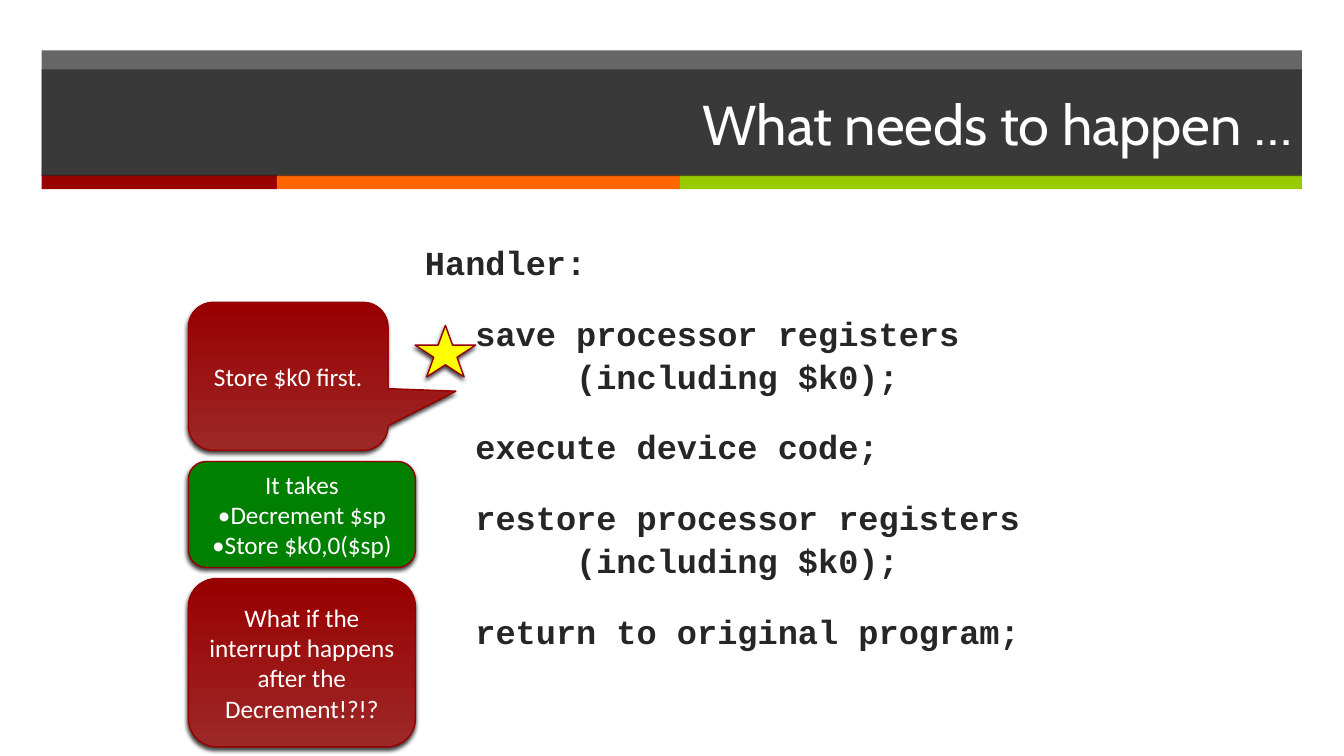
from lxml import etree
from pptx import Presentation
from pptx.dml.color import RGBColor
from pptx.enum.shapes import MSO_SHAPE
from pptx.enum.text import MSO_ANCHOR, PP_ALIGN
from pptx.oxml.ns import qn
from pptx.util import Cm, Pt

RECT, ROUNDED = MSO_SHAPE.RECTANGLE, MSO_SHAPE.ROUNDED_RECTANGLE
STAR, CALLOUT = MSO_SHAPE.STAR_5_POINT, MSO_SHAPE.ROUNDED_RECTANGULAR_CALLOUT
MIDDLE = MSO_ANCHOR.MIDDLE
LEFT, CENTER, RIGHT = PP_ALIGN.LEFT, PP_ALIGN.CENTER, PP_ALIGN.RIGHT

COLORS = {
    "dark": "262626", "white": "FFFFFF", "black": "000000",
    "red": "990000", "light_red": "9D2828", "outline": "960000",
    "orange": "FF6600", "lime": "99CC00", "green": "008000", "yellow": "FFFF00",
}


def rgb(name):
    return RGBColor.from_string(COLORS[name])


class SlideBuilder:
    """Holds the style and the current slide; boxes are (left, top, width, height) in cm."""

    def __init__(self, slide):
        self.s = slide

    def shape(self, kind, box, fill, alpha=None):
        sp = self.s.shapes.add_shape(kind, *map(Cm, box))
        sp.shadow.inherit = False
        sp.line.fill.background()
        if isinstance(fill, tuple):
            sp.fill.gradient()
            sp.fill.gradient_angle = 90
            for stop, color in zip(sp.fill.gradient_stops, fill):
                stop.color.rgb = rgb(color)
        else:
            sp.fill.solid()
            sp.fill.fore_color.rgb = rgb(fill)
        if alpha:
            clr = sp._element.spPr.find(qn("a:solidFill")).find(qn("a:srgbClr"))
            etree.SubElement(clr, qn("a:alpha"), val=str(alpha * 1000))
        return sp

    def raised(self, kind, box, fill):
        """Outlined shape with a soft shadow below it."""
        sp = self.shape(kind, box, fill)
        sp.line.color.rgb = rgb("outline")
        sp.line.width = Pt(1)
        effects = sp._element.spPr.find(qn("a:effectLst"))
        shadow = etree.SubElement(
            effects, qn("a:outerShdw"), blurRad=str(Pt(3)), dist=str(Pt(2)),
            dir=str(110 * 60000), rotWithShape="0")
        clr = etree.SubElement(shadow, qn("a:srgbClr"), val=COLORS["black"])
        etree.SubElement(clr, qn("a:alpha"), val="75000")
        return sp

    def text(self, sp, lines, font, size, color="white", align=CENTER, bold=False):
        tf = sp.text_frame
        tf.word_wrap = True
        for i, line in enumerate(lines):
            p = tf.paragraphs[0] if i == 0 else tf.add_paragraph()
            p.text = line
            p.alignment = align
            for r in p.runs:
                r.font.name, r.font.size, r.font.bold = font, Pt(size), bold
                r.font.color.rgb = rgb(color)
        return tf

    def note(self, kind, box, fill, lines):
        sp = self.raised(kind, box, fill)
        self.text(sp, lines, "Calibri", 18).vertical_anchor = MIDDLE
        return sp

    def code(self, box, lines):
        sp = self.s.shapes.add_textbox(*map(Cm, box))
        tf = self.text(sp, lines, "Courier New", 24, "dark", LEFT, True)
        for i, p in enumerate(tf.paragraphs):
            p.line_spacing = 1.06
            p.space_before = Pt(20 if i else 0)
            pPr = p._p.get_or_add_pPr()
            pPr.set("marL", str(Cm(1.27)))
            pPr.set("indent", str(Cm(-1.27)))
            pPr.set("defTabSz", str(Cm(2.54)))


def main():
    prs = Presentation()
    prs.slide_width, prs.slide_height = Cm(33.87), Cm(19.05)
    b = SlideBuilder(prs.slides.add_slide(prs.slide_layouts[6]))

    # Header band and coloured stripes
    left, width = 1.05, 31.76
    b.shape(RECT, (left, 1.27, width, 3.15), "dark", 70)
    x = left
    for color, w in (("red", 5.93), ("orange", 10.16), ("lime", 15.67)):
        b.shape(RECT, (x, 4.4, w, 0.37), color)
        x += w

    # Title
    title = b.shape(RECT, (left, 1.75, width, 2.69), "dark", 70)
    tf = b.text(title, ["What needs to happen …"], "Cabin", 40, align=RIGHT)
    tf.vertical_anchor = MIDDLE

    # Handler pseudocode
    b.code((10.46, 5.92, 18.36, 11.1), [
        "Handler:",
        "\tsave processor registers\n\t(including $k0);",
        "\texecute device code;",
        "\trestore processor registers\n\t(including $k0);",
        "\treturn to original program;",
    ])

    # Star and side notes
    b.raised(STAR, (10.46, 8.2, 1.53, 1.3), "yellow")
    red_blend = ("light_red", "red")
    callout = b.note(CALLOUT, (4.75, 7.62, 5.03, 3.73), red_blend, ["Store $k0 first."])
    callout.adjustments[0], callout.adjustments[1] = 0.84, 0.1
    b.note(ROUNDED, (4.75, 14.58, 5.72, 4.24), red_blend,
           ["What if the interrupt happens after the Decrement!?!?"])
    b.note(ROUNDED, (4.75, 11.63, 5.72, 2.67), "green",
           ["It takes\n•Decrement $sp", "•Store $k0,0($sp)"])

    prs.save("out.pptx")


if __name__ == "__main__":
    main()
